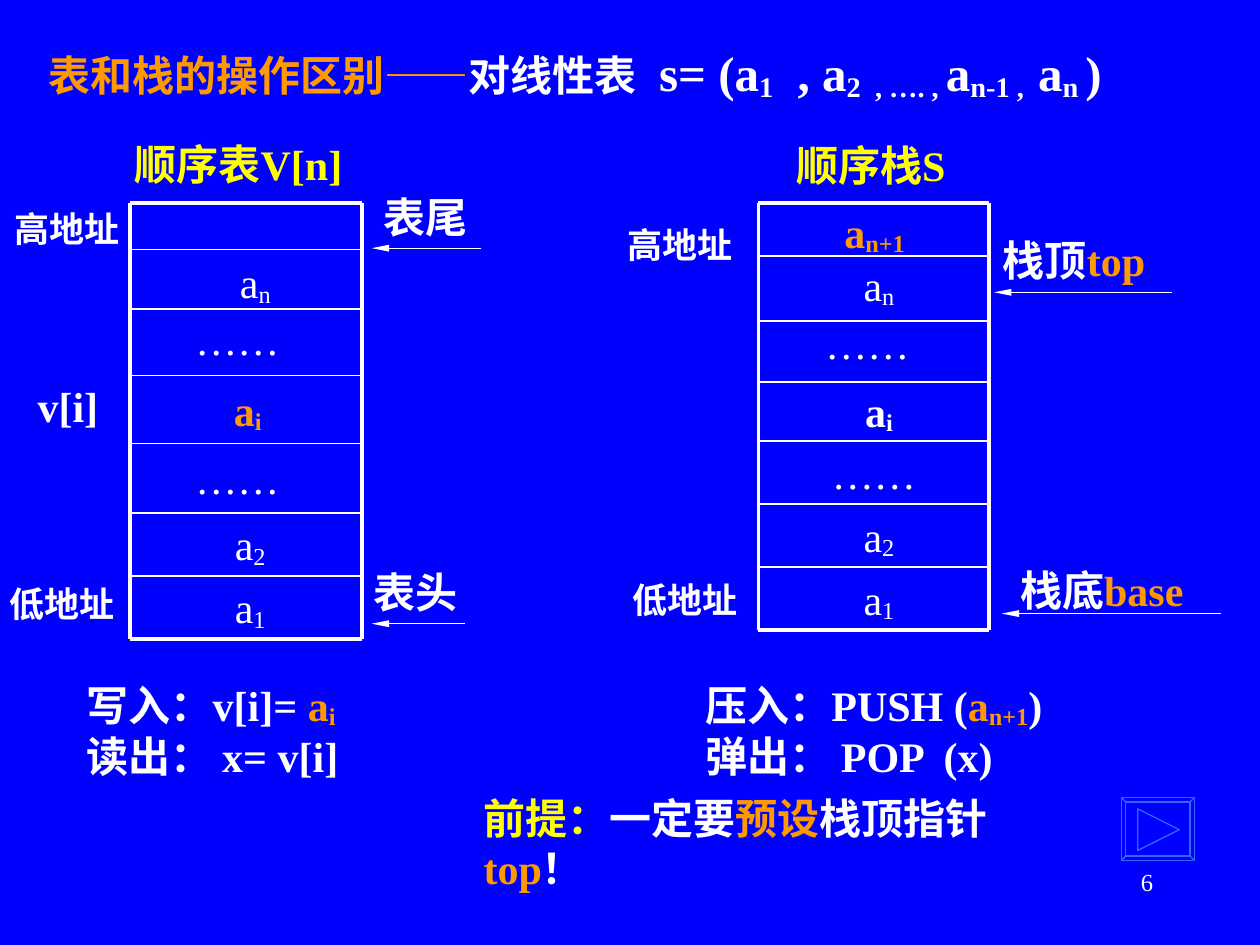
from lxml import etree
from pptx import Presentation
from pptx.dml.color import RGBColor
from pptx.enum.shapes import MSO_CONNECTOR, MSO_SHAPE
from pptx.enum.text import MSO_ANCHOR, MSO_AUTO_SIZE, PP_ALIGN
from pptx.oxml.ns import qn
from pptx.util import Inches, Pt

LEFT, CENTER, RIGHT = PP_ALIGN.LEFT, PP_ALIGN.CENTER, PP_ALIGN.RIGHT
TOP, MIDDLE = MSO_ANCHOR.TOP, MSO_ANCHOR.MIDDLE
FIXED = MSO_AUTO_SIZE.NONE
STRAIGHT = MSO_CONNECTOR.STRAIGHT
BEVEL, TRIANGLE = MSO_SHAPE.BEVEL, MSO_SHAPE.ISOSCELES_TRIANGLE
WHITE, ORANGE, YELLOW, BLUE = "FFFFFF", "FF9900", "FFFF00", "0000FF"
rgb = RGBColor.from_string

prs = Presentation()
prs.slide_width, prs.slide_height = Inches(10), Inches(7.5)
s = prs.slides.add_slide(prs.slide_layouts[6])
s.background.fill.solid()
s.background.fill.fore_color.rgb = rgb(BLUE)


def add_text(box, paragraphs, size=24, bold=True, align=LEFT, anchor=TOP):
    tf = s.shapes.add_textbox(*map(Inches, box)).text_frame
    frame = {"word_wrap": True, "auto_size": FIXED, "vertical_anchor": anchor}
    for name, value in frame.items():
        setattr(tf, name, value)
    for i, runs in enumerate(paragraphs):
        p = tf.add_paragraph() if i else tf.paragraphs[0]
        p.alignment = align
        for text, color, *base in runs:
            r = p.add_run()
            r.text = text
            font = {"name": "Times New Roman", "size": Pt(size), "bold": bold}
            for name, value in font.items():
                setattr(r.font, name, value)
            r.font.color.rgb = rgb(color)
            if base:
                r.font._element.set("baseline", str(base[0] * 1000))
    return tf


def add_line(x1, y1, x2, y2, width, arrow=False):
    line = s.shapes.add_connector(STRAIGHT, *map(Inches, (x1, y1, x2, y2)))
    line.line.color.rgb = rgb(WHITE)
    line.line.width = Pt(width)
    if arrow:
        head = {"type": "triangle", "w": "sm", "len": "lg"}
        etree.SubElement(line.line._get_or_add_ln(), qn("a:tailEnd"), head)
    etree.SubElement(line._element.spPr, qn("a:effectLst"))


title = add_text((0.29, 0.22, 8.9, 0.71), [[
    ("表和栈的操作区别——", ORANGE), ("对线性表", WHITE), ("  s= (a", WHITE),
    ("1", WHITE, -12), ("  , a", WHITE), ("2  , …. , ", WHITE, -12), ("a", WHITE),
    ("n-1 ,  ", WHITE, -12), ("a", WHITE), ("n ", WHITE, -12), (")", WHITE)]], anchor=MIDDLE)
for r in title.paragraphs[0].runs[2:]:
    r.font.size = Pt(28)

tables = [
    (1.03, 2.87, 1.61, 5.07, [1.98, 2.45, 2.98, 3.52, 4.07, 4.57]),
    (6.02, 7.85, 1.61, 5, [2.03, 2.55, 3.03, 3.5, 4, 4.5]),
]
for left, right, top, bottom, rows in tables:
    for y in rows:
        add_line(left, y, right, y, 1)
    for y in (top, bottom):
        add_line(left, y, right, y, 2.24)
    for x in (left, right):
        add_line(x, top, x, bottom, 2.24)

cells = [
    (1.07, 1.99, "n", WHITE, False), (1.01, 3, "i", ORANGE, True),
    (1.03, 4.07, "2", WHITE, False), (1.03, 4.57, "1", WHITE, False),
    (6.02, 2.01, "n", WHITE, False), (6.02, 3.01, "i", WHITE, True),
    (6.02, 4, "2", WHITE, False), (6.02, 4.5, "1", WHITE, False),
]
for x, y, index, color, bold in cells:
    add_text((x, y, 1.83, 0.5), [[(" a", color), (index, color, -10)]], bold=bold, align=CENTER)
for x, y in [(0.97, 2.44), (0.97, 3.54), (5.97, 2.47), (6.02, 3.5)]:
    add_text((x, y, 1.83, 0.5), [[("……", WHITE)]], bold=False, align=CENTER)
add_text((6.52, 1.59, 0.9, 0.51), [[(" a", ORANGE), ("n+1", ORANGE, -10)]])

headings = [
    (0.97, 1.05, 2.1, "顺序表V[n]", YELLOW),
    (6.22, 1.06, 1.7, "顺序栈S", YELLOW),
    (0.2, 2.97, 0.8, "v[i]", WHITE),
]
for x, y, w, text, color in headings:
    add_text((x, y, w, 0.5), [[(text, color)]])

addresses = [(0, 1.59, "高地址"), (-0.04, 4.57, "低地址"), (4.86, 1.72, "高地址"), (4.9, 4.54, "低地址")]
for x, y, text in addresses:
    add_text((x, y, 1.07, 0.44), [[(text, WHITE)]], size=20, align=CENTER, anchor=MIDDLE)

pointers = [
    (2.85, 1.47, 1.06, [("表尾", WHITE)], 3.82, 2.95, 1.97),
    (2.77, 4.45, 1.06, [("表头", WHITE)], 3.69, 2.95, 4.95),
    (7.72, 1.81, 1.61, [("栈顶", WHITE), ("top", ORANGE)], 9.3, 7.89, 2.32),
    (7.86, 4.43, 1.77, [("栈底", WHITE), ("base", ORANGE)], 9.69, 7.95, 4.87),
]
for x, y, w, runs, start, end, arrow_y in pointers:
    add_text((x, y, w, 0.5), [runs], align=CENTER, anchor=MIDDLE)
    add_line(start, arrow_y, end, arrow_y, 0.74, arrow=True)

add_text((0.59, 5.34, 2.6, 0.91), [
    [("写入：v[i]= ", WHITE), ("a", ORANGE), ("i", ORANGE, -10)],
    [("读出： x= v[i]", WHITE)]])
add_text((5.5, 5.34, 3.29, 0.91), [
    [("压入：PUSH (", WHITE), ("a", ORANGE), ("n+1", ORANGE, -10), (")", WHITE)],
    [("弹出： POP  (x)", WHITE)]])
add_text((3.74, 6.24, 4.72, 0.9), [[
    ("前提：", YELLOW), ("一定要", WHITE), ("预设", ORANGE), ("栈顶指针", WHITE),
    ("top", ORANGE), ("！", WHITE)]])
add_text((7.17, 6.83, 2.08, 0.5), [[("6", WHITE)]], size=14, bold=False, align=RIGHT)

button = [(BEVEL, (8.9, 6.33, 0.58, 0.5), 0, 0.07), (TRIANGLE, (9.03, 6.42, 0.33, 0.33), 90, 0.5)]
for kind, box, rotation, adjustment in button:
    sp = s.shapes.add_shape(kind, *map(Inches, box))
    sp.adjustments[0] = adjustment
    sp.rotation = rotation
    sp.shadow.inherit = False
    sp.fill.background()
    sp.line.color.rgb = rgb("3366FF")
    sp.line.width = Pt(0.74)

prs.save("out.pptx")
